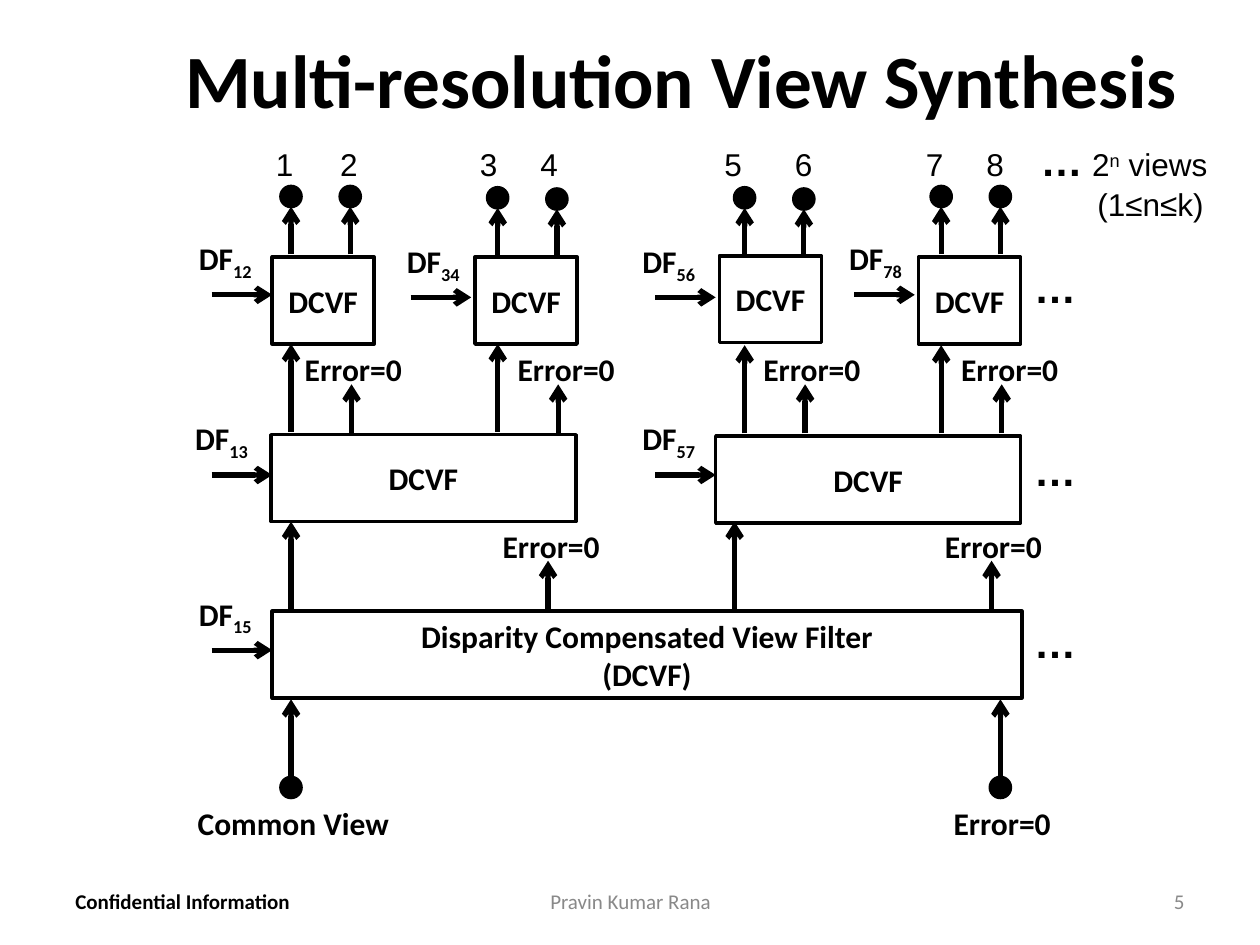
from pptx import Presentation
from pptx.dml.color import RGBColor
from pptx.enum.shapes import MSO_CONNECTOR, MSO_SHAPE
from pptx.enum.text import MSO_ANCHOR, PP_ALIGN
from pptx.oxml.xmlchemy import OxmlElement
from pptx.util import Inches, Pt

BLACK = RGBColor(0x00, 0x00, 0x00)
WHITE = RGBColor(0xFF, 0xFF, 0xFF)
GRAY = RGBColor(0x89, 0x89, 0x89)
ERROR = "Error=0"


def add_run(p, text, size=18, font="Calibri", color=BLACK, bold=True, baseline=0):
    """Append a run; baseline is a percentage, negative for subscript."""
    r = p.add_run()
    r.text = text
    r.font.size = Pt(size)
    r.font.name = font
    r.font.bold = bold
    r.font.color.rgb = color
    if baseline:
        r.font._element.set("baseline", str(baseline * 1000))


def add_tabs(p, positions):
    tabs = OxmlElement("a:tabLst")
    for pos in positions:
        tab = OxmlElement("a:tab")
        tab.set("pos", str(Inches(pos)))
        tab.set("algn", "l")
        tabs.append(tab)
    p._p.get_or_add_pPr().append(tabs)


class Diagram:
    line_width = Pt(2)
    arrow_width = Pt(3)
    dot_size = 0.16

    def __init__(self, slide):
        self.shapes = slide.shapes

    def text(self, x, y, w, h, text="", wrap=False, align=PP_ALIGN.LEFT,
             anchor=MSO_ANCHOR.TOP, **fmt):
        tf = self.shapes.add_textbox(Inches(x), Inches(y), Inches(w), Inches(h)).text_frame
        tf.word_wrap = wrap
        tf.vertical_anchor = anchor
        p = tf.paragraphs[0]
        p.alignment = align
        if text:
            add_run(p, text, **fmt)
        return tf

    def shape(self, kind, x, y, w, h, fill):
        sp = self.shapes.add_shape(kind, Inches(x), Inches(y), Inches(w), Inches(h))
        sp.shadow.inherit = False
        sp.fill.solid()
        sp.fill.fore_color.rgb = fill
        sp.line.color.rgb = BLACK
        sp.line.width = self.line_width
        return sp

    def box(self, x, y, w, *lines):
        tf = self.shape(MSO_SHAPE.RECTANGLE, x, y, w, 0.69, WHITE).text_frame
        tf.vertical_anchor = MSO_ANCHOR.MIDDLE
        for i, line in enumerate(lines):
            p = tf.add_paragraph() if i else tf.paragraphs[0]
            p.alignment = PP_ALIGN.CENTER
            add_run(p, line)

    def dot(self, x, y):
        """Draw a dot centred on x with its top at y."""
        d = self.dot_size
        self.shape(MSO_SHAPE.OVAL, x - d / 2, y, d, d, BLACK)

    def arrow(self, x1, y1, x2, y2):
        cxn = self.shapes.add_connector(
            MSO_CONNECTOR.STRAIGHT, Inches(x1), Inches(y1), Inches(x2), Inches(y2))
        cxn.line.color.rgb = BLACK
        cxn.line.width = self.arrow_width
        tail = OxmlElement("a:tailEnd")
        tail.set("type", "arrow")
        cxn.line._get_or_add_ln().append(tail)
        cxn._element.spPr.append(OxmlElement("a:effectLst"))

    def up(self, x, y, length):
        self.arrow(x, y, x, y - length)

    def disparity(self, index, label_x, arrow_x, y):
        """Draw the DF input: a labelled arrow pointing right."""
        self.arrow(arrow_x, y, arrow_x + 0.48, y)
        p = self.text(label_x, y - 0.49, 0.62, 0.44, "DF").paragraphs[0]
        add_run(p, index, baseline=-25)

    def error(self, arrow_x, label_x, y):
        """Draw an error output rising from y, with its label above."""
        self.up(arrow_x, y, 0.39)
        self.text(label_x, y - 0.71, 0.97, 0.4, ERROR)

    def view_numbers(self):
        left, inset = 2.09, 0.1
        columns = [2.7, 3.81, 4.29, 5.75, 6.31, 7.35, 7.83, 8.26, 8.67]
        tf = self.text(left, 1.02, 7.91, 1.1, wrap=True)
        p = tf.paragraphs[0]
        add_tabs(p, [x - left - inset for x in columns])
        plain = dict(font="Arial", bold=False)
        add_run(p, "\t".join("12345678") + "\t", **plain)
        add_run(p, "…", size=24, font="Arial")
        add_run(p, "\t2", **plain)
        add_run(p, "n", baseline=30, **plain)
        add_run(p, " views", **plain)
        p = tf.add_paragraph()
        add_tabs(p, [8.71 - left - inset])
        add_run(p, "\t(1≤n≤k)", **plain)


def main():
    prs = Presentation()
    prs.slide_width, prs.slide_height = Inches(10), Inches(7.5)
    s = Diagram(prs.slides.add_slide(prs.slide_layouts[6]))

    title = s.text(0.5, 0, 9, 1.25, "Multi-resolution View Synthesis", wrap=True,
                   align=PP_ALIGN.CENTER, anchor=MSO_ANCHOR.MIDDLE, size=43)
    title.margin_left = Inches(0.91)

    # Filter boxes, top level to bottom level
    for x, y in [(2.16, 2.04), (3.77, 2.04), (5.71, 2.03), (7.29, 2.04)]:
        s.box(x, y, 0.81, "DCVF")
    for x, y in [(2.15, 3.45), (5.68, 3.46)]:
        s.box(x, y, 2.42, "DCVF")
    s.box(2.16, 4.85, 5.95, "Disparity Compensated View Filter", "(DCVF)")

    # Inputs at the bottom
    for x, label_x, label_w, label in [(2.31, 1.47, 1.72, "Common View"),
                                       (7.94, 7.47, 0.97, ERROR)]:
        s.up(x, 6.24, 0.69)
        s.dot(x, 6.17)
        s.text(label_x, 6.33, label_w, 0.4, label)

    # Links between levels
    for x, y in [(2.31, 4.84), (5.83, 4.84),
                 (2.31, 3.43), (3.95, 3.43), (5.91, 3.44), (7.47, 3.44)]:
        s.up(x, y, 0.7)

    # Synthesised views
    for x, y in [(2.31, 1.48), (2.78, 1.48), (3.95, 1.49), (4.42, 1.5),
                 (5.91, 1.49), (6.38, 1.5), (7.47, 1.48), (7.94, 1.48)]:
        s.up(x, y + 0.54, 0.38)
        s.dot(x, y)
    s.view_numbers()

    for y in (2.03, 3.48, 4.84):
        s.text(8.11, y, 0.86, 0.5, "…", wrap=True, size=24, font="Arial")

    for arrow_x, label_x, y in [(2.79, 2.32, 3.44), (4.43, 4.01, 3.44),
                                (6.39, 5.96, 3.44), (7.95, 7.53, 3.44),
                                (4.35, 3.89, 4.84), (7.87, 7.4, 4.84)]:
        s.error(arrow_x, label_x, y)

    for index, label_x, arrow_x, y in [
            ("12", 1.48, 1.68, 2.34), ("34", 3.13, 3.26, 2.36),
            ("56", 5, 5.2, 2.36), ("78", 6.64, 6.78, 2.34),
            ("13", 1.45, 1.68, 3.77), ("57", 5, 5.2, 3.77),
            ("15", 1.48, 1.68, 5.16)]:
        s.disparity(index, label_x, arrow_x, y)

    footer = dict(wrap=True, anchor=MSO_ANCHOR.MIDDLE, size=12)
    s.text(0.5, 6.95, 2.33, 0.4, "Confidential Information", **footer)
    s.text(3.42, 6.95, 3.17, 0.4, "Pravin Kumar Rana", align=PP_ALIGN.CENTER,
           color=GRAY, bold=False, **footer)
    s.text(7.17, 6.95, 2.33, 0.4, "5", align=PP_ALIGN.RIGHT,
           color=GRAY, bold=False, **footer)

    prs.save("out.pptx")


if __name__ == "__main__":
    main()
